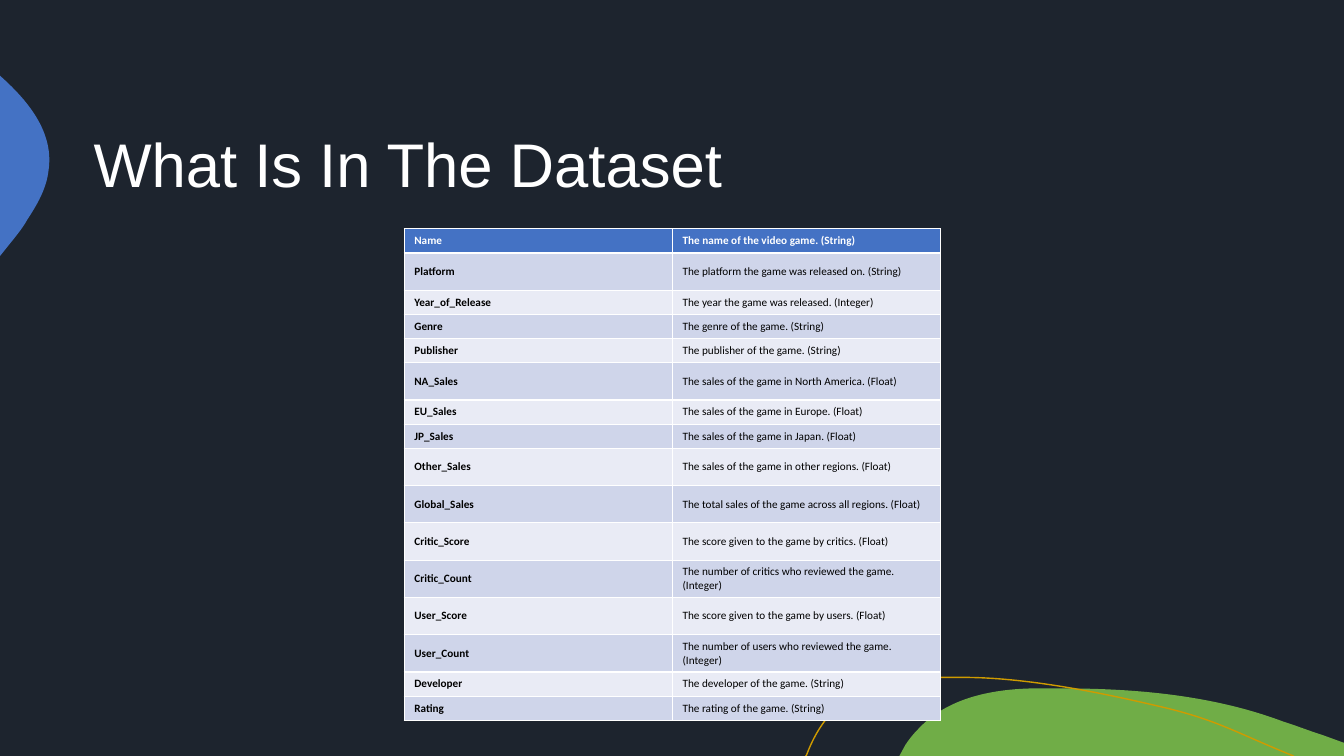
from dataclasses import dataclass

from lxml.etree import SubElement
from pptx import Presentation
from pptx.dml.color import RGBColor
from pptx.enum.text import MSO_ANCHOR
from pptx.oxml.ns import qn
from pptx.util import Inches, Pt


@dataclass(frozen=True)
class Theme:
    """Colours, fonts and type sizes of the slide."""
    background: str = "1D242E"
    white: str = "FFFFFF"
    black: str = "000000"
    blue: str = "4472C4"
    green: str = "70AD47"
    gold: str = "CF9B00"
    bands: tuple = ("E9EBF5", "CFD5EA")
    title_font: str = "Arial"
    table_font: str = "Calibri"
    title_size: int = 44
    table_size: int = 8


THEME = Theme()
SHORT_ROW, TALL_ROW = 0.24, 0.37

FIELDS = [
    ("Name", "The name of the video game. (String)", SHORT_ROW),
    ("Platform", "The platform the game was released on. (String)", TALL_ROW),
    ("Year_of_Release", "The year the game was released. (Integer)", SHORT_ROW),
    ("Genre", "The genre of the game. (String)", SHORT_ROW),
    ("Publisher", "The publisher of the game. (String)", SHORT_ROW),
    ("NA_Sales", "The sales of the game in North America. (Float)", TALL_ROW),
    ("EU_Sales", "The sales of the game in Europe. (Float)", SHORT_ROW),
    ("JP_Sales", "The sales of the game in Japan. (Float)", SHORT_ROW),
    ("Other_Sales", "The sales of the game in other regions. (Float)", TALL_ROW),
    ("Global_Sales", "The total sales of the game across all regions. (Float)", TALL_ROW),
    ("Critic_Score", "The score given to the game by critics. (Float)", TALL_ROW),
    ("Critic_Count", "The number of critics who reviewed the game. (Integer)", TALL_ROW),
    ("User_Score", "The score given to the game by users. (Float)", TALL_ROW),
    ("User_Count", "The number of users who reviewed the game. (Integer)", TALL_ROW),
    ("Developer", "The developer of the game. (String)", SHORT_ROW),
    ("Rating", "The rating of the game. (String)", SHORT_ROW),
]

GREEN_HILL = [
    [(1.62, 0)],
    [(2.36, 0), (3.12, 0.07), (3.81, 0.33)],
    [(3.94, 0.37), (4.06, 0.42), (4.19, 0.46)],
    [(4.41, 0.54)], [(4.41, 0.67)], [(0, 0.67)], [(0.06, 0.56)],
    [(0.1, 0.5), (0.14, 0.45), (0.19, 0.4)],
    [(0.47, 0.1), (0.9, 0.01), (1.31, 0)],
    [(1.41, 0), (1.51, 0), (1.62, 0)],
]
BLUE_BULGE = [
    [(0, 0)], [(0.01, 0.01)],
    [(0.3, 0.27), (0.54, 0.58), (0.48, 0.95)],
    [(0.46, 1.12), (0.37, 1.28), (0.27, 1.43)],
    [(0.24, 1.49), (0.17, 1.58), (0.08, 1.69)],
    [(0, 1.79)],
]
GOLD_ARC = [
    [(0, 0.78)], [(0.01, 0.77)],
    [(0.07, 0.61), (0.15, 0.47), (0.25, 0.36)],
    [(0.51, 0.09), (0.9, 0.01), (1.27, 0)],
    [(1.56, 0)],
    [(2.23, 0), (3.01, 0.17), (3.56, 0.3)],
    [(4.1, 0.43), (4.27, 0.55), (4.84, 0.78)],
]


def color(code):
    """Turn a hex code into a colour."""
    return RGBColor.from_string(code)


def format_run(run, font, size, code, bold=False):
    """Set the look of one run."""
    run.font.name = font
    run.font.size = Pt(size)
    run.font.bold = bold
    run.font.color.rgb = color(code)


def bend(shape, segments):
    """Turn the straight steps of an outline into cubic curves where controls are given."""
    steps = list(shape._element.iter(qn("a:lnTo")))
    for step, segment in zip(steps, segments[1:]):
        if len(segment) == 3:
            curve = step.makeelement(qn("a:cubicBezTo"))
            for x, y in segment:
                SubElement(curve, qn("a:pt"), x=str(Inches(x)), y=str(Inches(y)))
            step.getparent().replace(step, curve)


def add_outline(slide, left, top, segments, fill=None, line=None):
    """Draw a curved outline from the corner of its box."""
    points = [(Inches(left + x), Inches(top + y))
              for x, y in (segment[-1] for segment in segments)]
    builder = slide.shapes.build_freeform(*points[0])
    builder.add_line_segments(points[1:], close=fill is not None)
    shape = builder.convert_to_shape()
    bend(shape, segments)
    shape.shadow.inherit = False
    if fill:
        shape.fill.solid()
        shape.fill.fore_color.rgb = color(fill)
    else:
        shape.fill.background()
    if line:
        shape.line.color.rgb = color(line)
        shape.line.width = Pt(1)
    else:
        shape.line.fill.background()


def add_title(slide, left, top, width, height):
    """Place the slide title."""
    box = slide.shapes.add_textbox(Inches(left), Inches(top), Inches(width), Inches(height))
    frame = box.text_frame
    frame.word_wrap = True
    frame.vertical_anchor = MSO_ANCHOR.MIDDLE
    frame.text = "What Is In The Dataset"
    paragraph = frame.paragraphs[0]
    paragraph.line_spacing = 0.9
    format_run(paragraph.runs[0], THEME.title_font, THEME.title_size, THEME.white)


def add_field_table(slide, left, top, width):
    """Place the table that lists each field with its meaning."""
    height = sum(field[2] for field in FIELDS)
    table = slide.shapes.add_table(
        len(FIELDS), 2, Inches(left), Inches(top), Inches(width), Inches(height)).table
    for row_index, (name, meaning, row_height) in enumerate(FIELDS):
        header = row_index == 0
        table.rows[row_index].height = Inches(row_height)
        for column_index, text in enumerate((name, meaning)):
            cell = table.cell(row_index, column_index)
            cell.text_frame.text = text
            cell.vertical_anchor = MSO_ANCHOR.MIDDLE
            cell.fill.solid()
            cell.fill.fore_color.rgb = color(THEME.blue if header else THEME.bands[row_index % 2])
            format_run(cell.text_frame.paragraphs[0].runs[0], THEME.table_font, THEME.table_size,
                       THEME.white if header else THEME.black,
                       bold=header or column_index == 0)


def main():
    """Build and save the slide."""
    presentation = Presentation()
    presentation.slide_width = Inches(13.33)
    presentation.slide_height = Inches(7.5)
    slide = presentation.slides.add_slide(presentation.slide_layouts[6])
    slide.background.fill.solid()
    slide.background.fill.fore_color.rgb = color(THEME.background)
    add_outline(slide, 8.92, 6.83, GREEN_HILL, fill=THEME.green)
    add_outline(slide, 0, 0.75, BLUE_BULGE, fill=THEME.blue)
    add_outline(slide, 7.99, 6.72, GOLD_ARC, line=THEME.gold)
    add_title(slide, 0.83, 0.83, 11.67, 1.67)
    add_field_table(slide, 4.01, 2.27, 5.32)
    presentation.save("out.pptx")


if __name__ == "__main__":
    main()
